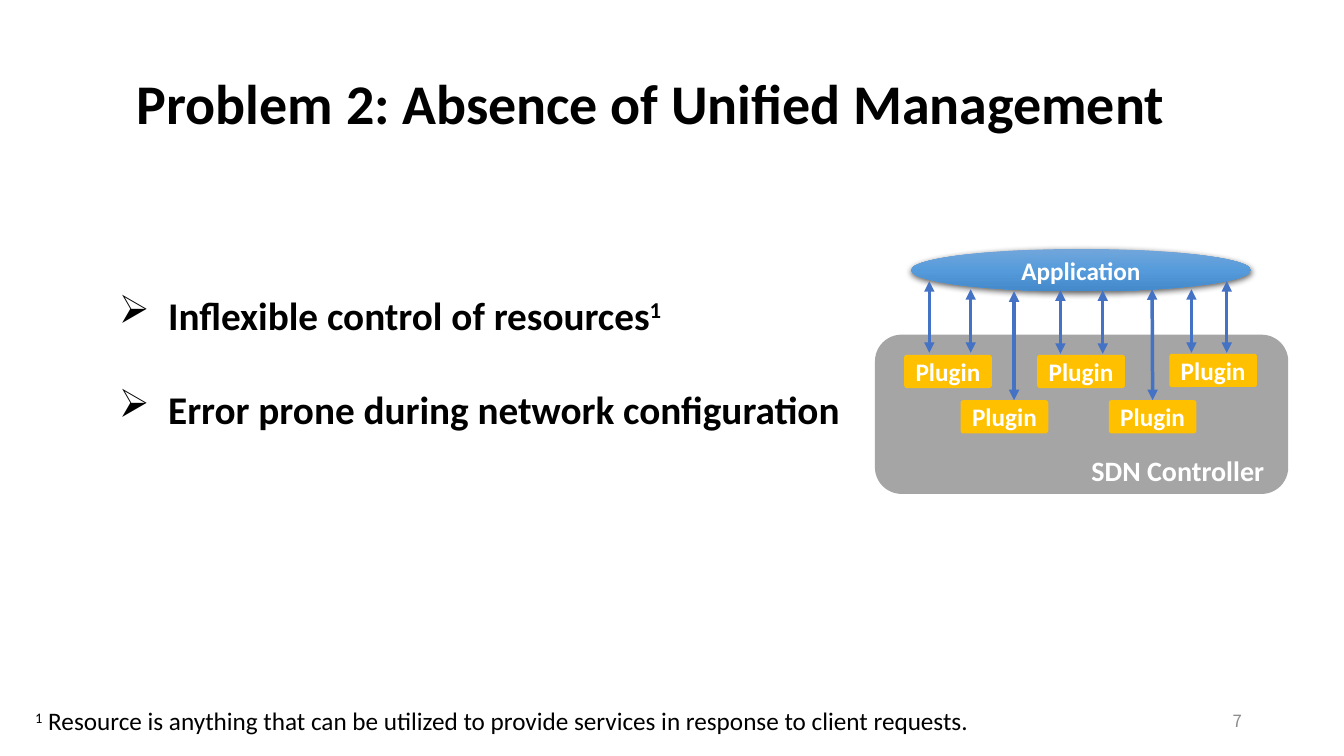
from copy import deepcopy

from pptx import Presentation
from pptx.dml.color import RGBColor
from pptx.enum.shapes import MSO_CONNECTOR, MSO_SHAPE
from pptx.enum.text import MSO_ANCHOR, PP_ALIGN
from pptx.oxml import parse_xml
from pptx.oxml.ns import nsdecls, qn
from pptx.util import Inches, Pt

COLS, ROWS = 40, 22.5
WIDE, HIGH = Inches(13.33), Inches(7.5)
LEFT, MID, RIGHT = PP_ALIGN.LEFT, PP_ALIGN.CENTER, PP_ALIGN.RIGHT
TOP, CENTER = MSO_ANCHOR.TOP, MSO_ANCHOR.MIDDLE
ROUND, OVAL = MSO_SHAPE.ROUNDED_RECTANGLE, MSO_SHAPE.OVAL
LINE = MSO_CONNECTOR.STRAIGHT

BLACK, WHITE, GRAY, GOLD, BLUE = "000000", "FFFFFF", "A5A5A5", "FFC000", "4472C4"
BASE = {"name": "Calibri", "size": Pt(18), "bold": True}
UPPER = [(26.91, 10.56), (30.87, 10.56), (34.8, 10.53)]
LOWER = [(28.59, 11.91), (33, 11.91)]
ARROWS = [
    (27.66, 8.37, 10.5), (28.89, 8.61, 10.5), (30.18, 8.67, 11.91),
    (31.56, 8.64, 10.53), (32.82, 8.64, 10.53),
    (35.46, 8.61, 10.5), (36.51, 8.37, 10.5),
]


def rgb(code):
    return RGBColor.from_string(code)


def col(n):
    return int(WIDE * n / COLS)


def row(n):
    return int(HIGH * n / ROWS)


def area(x, y, w, h):
    return col(x), row(y), col(w), row(h)


def write(para, text, color, raised=False, **style):
    run = para.add_run()
    run.text = text
    for key, value in {**BASE, **style}.items():
        setattr(run.font, key, value)
    run.font.color.rgb = rgb(color)
    if raised:
        run._r.get_or_add_rPr().set("baseline", "30000")


def frame(shape, align=LEFT, anchor=TOP, wrap=False):
    body = shape.text_frame
    body.word_wrap = wrap
    body.vertical_anchor = anchor
    body.paragraphs[0].alignment = align
    return body


def label(slide, box, align=LEFT, anchor=TOP, wrap=False):
    return frame(slide.shapes.add_textbox(*area(*box)), align, anchor, wrap)


def block(slide, kind, box, color, text=""):
    shape = slide.shapes.add_shape(kind, *area(*box))
    shape.shadow.inherit = False
    shape.fill.solid()
    shape.fill.fore_color.rgb = rgb(color)
    shape.line.fill.background()
    body = frame(shape, MID, CENTER)
    if text:
        write(body.paragraphs[0], text, WHITE)
    return shape


def plugin(slide, x, y):
    shape = block(slide, ROUND, (x, y, 2.61, 0.99), GOLD, "Plugin")
    shape.adjustments[0] = 0.08
    return shape


def shade(shape, colors):
    shape.fill.gradient()
    shape.fill.gradient_angle = 270
    props = shape._element.spPr
    stops = props.find(".//" + qn("a:gsLst"))
    stops.insert(1, deepcopy(stops[0]))
    stops[1].set("pos", "50000")
    for stop, color in zip(shape.fill.gradient_stops, colors):
        stop.color.rgb = rgb(color)
    props.find(qn("a:effectLst")).append(parse_xml(
        f'<a:outerShdw {nsdecls("a")} blurRad="57150" dist="19050" dir="5400000" '
        'algn="ctr" rotWithShape="0"><a:srgbClr val="000000">'
        '<a:alpha val="63000"/></a:srgbClr></a:outerShdw>'))


def arrow(slide, x, top, end):
    line = slide.shapes.add_connector(LINE, col(x), row(top), col(x), row(end))
    line.line.color.rgb = rgb(BLUE)
    line.line.width = Pt(2.5)
    props = line._element.spPr
    for tag in ("headEnd", "tailEnd"):
        props.find(qn("a:ln")).append(
            parse_xml(f'<a:{tag} {nsdecls("a")} type="triangle"/>'))
    props.append(parse_xml(f'<a:effectLst {nsdecls("a")}/>'))
    return line


def bullet(para, text):
    para.line_spacing = 2.0
    props = para._p.get_or_add_pPr()
    props.set("marL", str(Inches(0.49)))
    props.set("indent", str(-Inches(0.49)))
    props.append(parse_xml(f'<a:buChar {nsdecls("a")} char="➢"/>'))
    write(para, text, BLACK, size=Pt(28))


def diagram(slide):
    block(slide, ROUND, (26.04, 9.96, 12.3, 4.74), GRAY)
    app = block(slide, OVAL, (27.12, 7.41, 10.11, 1.26), BLUE, "Application")
    shade(app, ("71A6DB", "559BDB", "448ACA"))
    name = label(slide, (32.16, 13.35, 5.79, 1.32), MID)
    write(name.paragraphs[0], "SDN Controller", WHITE, size=Pt(20))
    for spot in UPPER + LOWER:
        last = plugin(slide, *spot)
    for spot in ARROWS:
        arrow(slide, *spot)
    arrow(slide, 34.29, 8.61, 11.91).end_connect(last, 0)


def main():
    deck = Presentation()
    deck.slide_width, deck.slide_height = WIDE, HIGH
    slide = deck.slides.add_slide(deck.slide_layouts[6])

    page = label(slide, (28.26, 20.85, 9, 1.2), RIGHT, CENTER)
    page.word_wrap = True
    write(page.paragraphs[0], "7", "8C8C8C",
          name="Noto Sans CJK SC", size=Pt(12), bold=False)

    title = label(slide, (3.78, 1.89, 31.53, 2.31))
    write(title.paragraphs[0], "Problem 2: Absence of Unified Management",
          BLACK, size=Pt(40))

    points = label(slide, (3.24, 7.11, 22.95, 5.55), wrap=True)
    first = points.paragraphs[0]
    bullet(first, "Inflexible control of resources")
    write(first, "1", BLACK, True, size=Pt(28))
    bullet(points.add_paragraph(), "Error prone during network configuration")

    diagram(slide)

    note = label(slide, (0.75, 20.85, 29.91, 1.2), wrap=True).paragraphs[0]
    write(note, "1", BLACK, True, bold=False)
    write(note, " Resource is anything that can be utilized to provide services "
          "in response to client requests.", BLACK, bold=False)
    deck.save("out.pptx")


if __name__ == "__main__":
    main()
